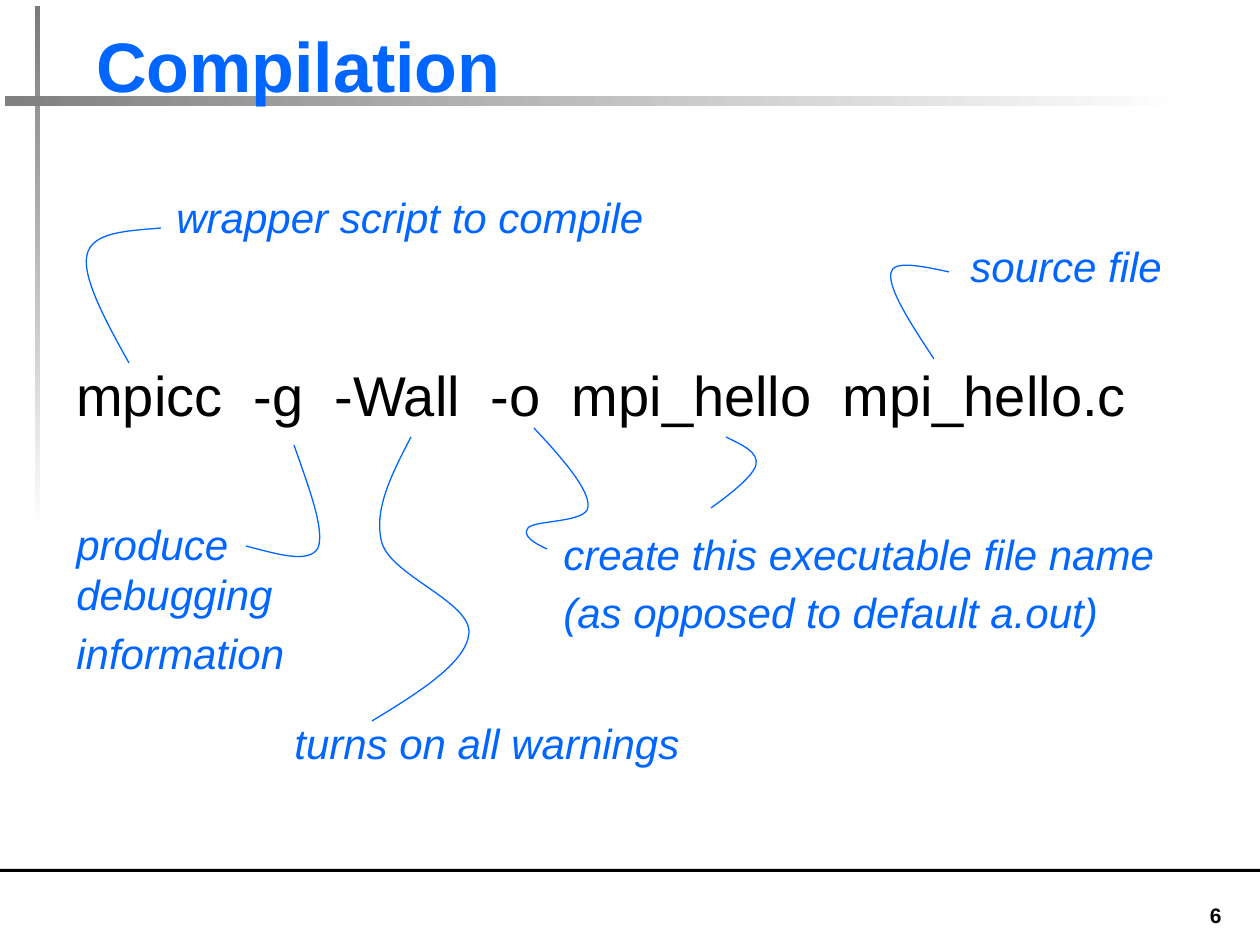
import pptx
import pptx.util
import pptx.dml.color
import pptx.enum.shapes
import pptx.enum.text
import pptx.oxml.ns
import lxml.etree

RGB = pptx.dml.color.RGBColor
BLUE = RGB(0x00, 0x66, 0xFF)
BLACK = RGB(0, 0, 0)
WHITE = RGB(0xFF, 0xFF, 0xFF)
GREY = RGB(0x80, 0x80, 0x80)
SAGE = RGB(0x76, 0x7D, 0x79)
ALIGN = pptx.enum.text.PP_ALIGN
ANCHOR = pptx.enum.text.MSO_ANCHOR
FONT = "Arial"
PX = 914400 / 126
HANG = 48

# Content: box in px, paragraphs (a newline is a line break)
TITLE = ((84, 16, 1142, 97), ["Compilation"])
COMMAND = ((64, 354, 1131, 81),
           ["mpicc  -g  -Wall  -o  mpi_hello  mpi_hello.c"])
NUMBER = ((1155, 896, 79, 38), ["6"])
NOTES = [
    ((164, 185, 509, 63), ["wrapper script to compile"]),
    ((282, 711, 415, 63), ["turns on all warnings"]),
    ((958, 234, 219, 64), ["source file"]),
    ((551, 522, 622, 125),
     ["create this executable file name", "(as opposed to default a.out)"]),
    ((64, 512, 236, 175), ["produce\ndebugging", "information"]),
]

# Bars: box, start colour, end colour, gradient angle
BARS = [
    ((0, 869, 1260, 3), BLACK, None, 0),
    ((35, 6, 5, 525), SAGE, WHITE, 270),
    ((5, 96, 1181, 10), GREY, WHITE, 0),
]

# Curves: a start point, then three Bezier points per segment
CURVES = [
    [(161, 228), (126, 231), (92, 232), (87, 255),
     (82, 277), (105, 320), (129, 363)],
    [(949, 272), (921, 266), (893, 260), (891, 273),
     (888, 289), (911, 324), (934, 359)],
    [(246, 546), (277, 554), (309, 564), (318, 548),
     (325, 530), (309, 488), (294, 445)],
    [(372, 721), (420, 692), (467, 662), (469, 633), (471, 602),
     (392, 576), (382, 543), (373, 510), (392, 474), (411, 437)],
    [(711, 508), (732, 493), (753, 476), (756, 465),
     (759, 452), (742, 445), (726, 437)],
    [(547, 549), (534, 543), (522, 536), (528, 528), (534, 520),
     (587, 523), (588, 507), (590, 490), (562, 458), (534, 428)],
]


def emu(vals):
    return [round(v * PX) for v in vals]


def add_bar(slide, box, start, end, angle):
    rect = pptx.enum.shapes.MSO_SHAPE.RECTANGLE
    bar = slide.shapes.add_shape(rect, *emu(box))
    bar.shadow.inherit = False
    bar.line.fill.background()
    if end is None:
        bar.fill.solid()
        bar.fill.fore_color.rgb = start
        return
    bar.fill.gradient()
    bar.fill.gradient_angle = angle
    for stop, color in zip(bar.fill.gradient_stops, (start, end)):
        stop.color.rgb = color


def add_text(slide, item, size, color, bold=False, slant=False,
             align=ALIGN.LEFT, anchor=ANCHOR.TOP):
    box, paras = item
    frame = slide.shapes.add_textbox(*emu(box)).text_frame
    frame.word_wrap = True
    frame.vertical_anchor = anchor
    for i, text in enumerate(paras):
        para = frame.add_paragraph() if i else frame.paragraphs[0]
        para.alignment = align
        if i:
            para.space_before = pptx.util.Pt(4.8)
        for j, line in enumerate(text.split("\n")):
            if j:
                para.add_line_break()
            run = para.add_run()
            run.text = line
            font = run.font
            font.name, font.size = FONT, pptx.util.Pt(size)
            font.bold, font.italic = bold, slant
            font.color.rgb = color
    return frame


def add_curve(slide, points):
    first, *rest = points
    form = slide.shapes.build_freeform(*first, scale=PX)
    form.add_line_segments(rest, close=False)
    curve = form.convert_to_shape()
    curve.shadow.inherit = False
    curve.fill.background()
    curve.line.color.rgb = BLUE
    curve.line.width = pptx.util.Pt(0.75)
    # Turn every three line points into one cubic segment
    qn = pptx.oxml.ns.qn
    lines = list(curve.element.iter(qn("a:lnTo")))
    for i in range(0, len(lines), 3):
        cubic = lxml.etree.Element(qn("a:cubicBezTo"))
        lines[i].addprevious(cubic)
        for line in lines[i:i + 3]:
            cubic.append(line[0])
            line.getparent().remove(line)


def main():
    deck = pptx.Presentation()
    deck.slide_width, deck.slide_height = emu((1260, 945))
    slide = deck.slides.add_slide(deck.slide_layouts[6])

    # Frame
    for bar in BARS:
        add_bar(slide, *bar)
    add_text(slide, NUMBER, 12, BLACK, bold=True, align=ALIGN.RIGHT)

    # Title and command line
    add_text(slide, TITLE, 40, BLUE, bold=True, anchor=ANCHOR.BOTTOM)
    frame = add_text(slide, COMMAND, 32, BLACK)
    props = frame.paragraphs[0]._p.get_or_add_pPr()
    props.set("marL", str(round(HANG * PX)))
    props.set("indent", str(round(-HANG * PX)))

    # Notes and their leader curves
    for note in NOTES:
        add_text(slide, note, 24, BLUE, slant=True)
    for points in CURVES:
        add_curve(slide, points)

    deck.save("out.pptx")


if __name__ == "__main__":
    main()
